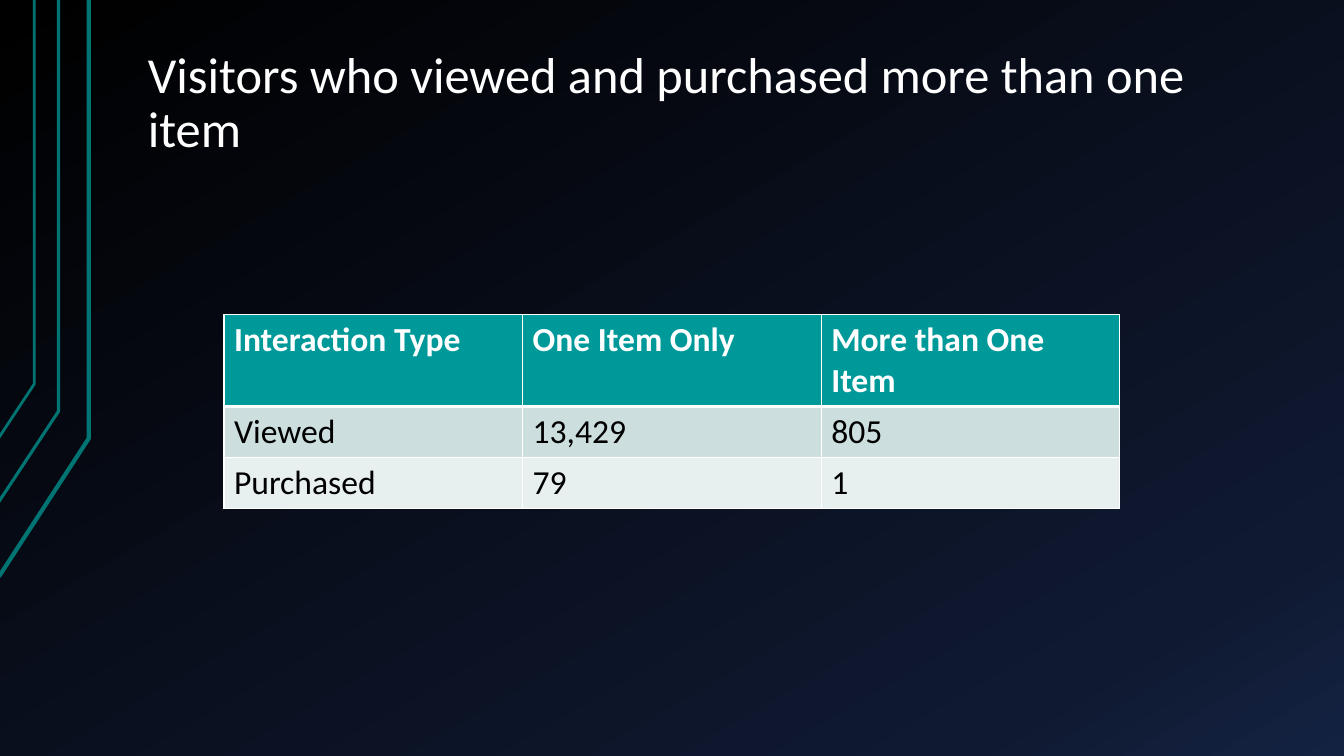
from copy import deepcopy
from typing import NamedTuple

from lxml.etree import SubElement
from pptx import Presentation
from pptx.dml.color import RGBColor
from pptx.enum.text import MSO_ANCHOR, MSO_AUTO_SIZE, PP_ALIGN
from pptx.oxml.ns import qn
from pptx.util import Pt

FONT = "Calibri"
WHITE = "FFFFFF"


class Bend(NamedTuple):
    """A line that falls from the top edge and bends to the left edge."""
    left: float
    foot: float
    right: float
    knee: float
    width: float


class Look(NamedTuple):
    fill: str
    ink: str
    bold: bool
    height: float
    top: float
    base: float


BENDS = [
    Bend(-0.72, 411.8, 63.4, 313.2, 3),
    Bend(-1.44, 359.3, 41.8, 293.8, 2.25),
    Bend(-0.72, 312.5, 24.5, 274.3, 2),
]
STOPS = [(0, "000000"), (0.85, "0F1931"), (1, "142242")]
ROWS = [
    ("Interaction Type", "One Item Only", "More than One Item"),
    ("Viewed", "13,429", "805"),
    ("Purchased", "79", "1"),
]
LOOKS = [
    Look("009999", WHITE, True, 65.8, 1, 3),
    Look("CCDEDE", "000000", False, 36.5, 3, 1),
    Look("E7EFEF", "000000", False, 36.5, 1, 1),
]


def color(code: str) -> RGBColor:
    return RGBColor.from_string(code)


def write(frame, text: str, *, size: float, ink: str, bold: bool = False,
          space: float | None = None) -> None:
    para = frame.paragraphs[0]
    para.alignment = PP_ALIGN.LEFT
    para.line_spacing = space
    run = para.add_run()
    run.text = text
    font = run.font
    font.name, font.size, font.bold = FONT, Pt(size), bold
    font.color.rgb = color(ink)


def paint_back(slide) -> None:
    fill = slide.background.fill
    fill.gradient()
    fill.gradient_angle = 300
    stops = slide.element.find(".//" + qn("a:gsLst"))
    stops.append(deepcopy(stops[-1]))
    for stop, (place, code) in zip(fill.gradient_stops, STOPS):
        stop.position = place
        stop.color.rgb = color(code)


def draw_bend(slide, bend: Bend) -> None:
    pen = slide.shapes.build_freeform(Pt(bend.left), Pt(bend.foot))
    pen.add_line_segments(
        [(Pt(bend.right), Pt(bend.knee)), (Pt(bend.right), 0)], close=False)
    shape = pen.convert_to_shape()
    shape.shadow.inherit = False
    shape.fill.background()
    shape.line.color.rgb = color("007373")
    shape.line.width = Pt(bend.width)


def add_title(slide, text: str) -> None:
    title = slide.shapes.title
    title.left, title.top = Pt(96), Pt(21.6)
    title.width, title.height = Pt(816), Pt(96.5)
    frame = title.text_frame
    frame.auto_size = MSO_AUTO_SIZE.NONE
    frame.word_wrap = True
    frame.vertical_anchor = MSO_ANCHOR.BOTTOM
    frame.margin_left = frame.margin_right = Pt(9.6)
    frame.margin_top = frame.margin_bottom = Pt(4.8)
    write(frame, text, size=36, ink=WHITE, space=0.9)


def set_edges(cell, look: Look) -> None:
    """Put the four border lines before the fill of the cell."""
    props = cell._tc.get_or_add_tcPr()
    widths = {"L": 1, "R": 1, "T": look.top, "B": look.base}
    for place, (side, width) in enumerate(widths.items()):
        edge = SubElement(props, qn("a:ln" + side), w=str(Pt(width)))
        fill = SubElement(edge, qn("a:solidFill"))
        SubElement(fill, qn("a:srgbClr"), val=WHITE)
        props.insert(place, edge)


def add_grid(slide) -> None:
    high = sum(look.height for look in LOOKS)
    table = slide.shapes.add_table(
        len(ROWS), len(ROWS[0]), Pt(160), Pt(224.6), Pt(640), Pt(high)).table
    for row, look, texts in zip(table.rows, LOOKS, ROWS):
        row.height = Pt(look.height)
        for cell, text in zip(row.cells, texts):
            cell.fill.solid()
            cell.fill.fore_color.rgb = color(look.fill)
            set_edges(cell, look)
            write(cell.text_frame, text, size=24, ink=look.ink, bold=look.bold)


def main() -> None:
    deck = Presentation()
    deck.slide_width, deck.slide_height = Pt(960), Pt(540)
    slide = deck.slides.add_slide(deck.slide_layouts[5])
    paint_back(slide)
    for bend in BENDS:
        draw_bend(slide, bend)
    add_title(slide, "Visitors who viewed and purchased more than one item")
    add_grid(slide)
    deck.save("out.pptx")


if __name__ == "__main__":
    main()
